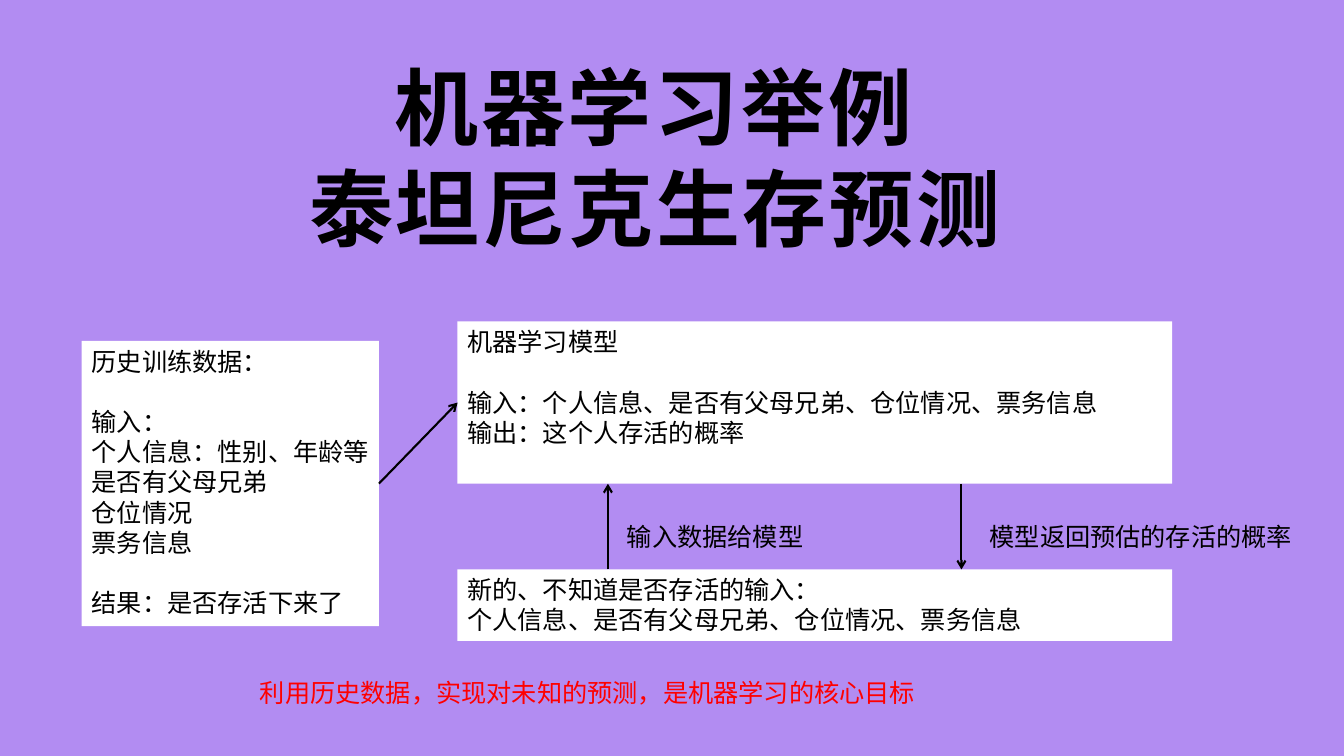
from lxml import etree
from pptx import Presentation
from pptx.dml.color import RGBColor
from pptx.enum.shapes import MSO_CONNECTOR, MSO_SHAPE
from pptx.enum.text import MSO_ANCHOR as Anchor, PP_ALIGN as Align
from pptx.oxml.ns import qn
from pptx.util import Cm, Pt

PURPLE = RGBColor(0xB2, 0x8C, 0xF2)
WHITE = RGBColor(0xFF, 0xFF, 0xFF)
BLACK = RGBColor(0x00, 0x00, 0x00)
RED = RGBColor(0xFF, 0x00, 0x00)

BODY = {"name": "Arial", "size": Pt(18)}
HEADING = {"name": "Arial", "size": Pt(60), "bold": True}
BLANK_LINE = Pt(21.6)

TITLE = (1.3, 1.5, 30.33, 4.88)
HISTORY = (2.06, 8.59, 7.49, 7.19)
MODEL = (11.53, 8.1, 18.01, 4.09)
NEW_INPUT = (11.53, 14.35, 18.01, 1.8)
CONCLUSION = (6.3, 16.94, 17.02, 1.02)


def write(shape, paragraphs, style, color=BLACK, align=Align.LEFT, gaps=(), wrap=True):
    """Fill a shape with paragraphs, leaving a line free before those in gaps."""
    frame = shape.text_frame
    frame.word_wrap = wrap
    for index, text in enumerate(paragraphs):
        paragraph = frame.add_paragraph() if index else frame.paragraphs[0]
        paragraph.text = text
        paragraph.alignment = align
        if index in gaps:
            paragraph.space_before = BLANK_LINE
        for run in paragraph.runs:
            for attribute, value in style.items():
                setattr(run.font, attribute, value)
            run.font.color.rgb = color


def add_title(slide, box):
    """Place the centred two-line heading."""
    shape = slide.shapes.add_textbox(*map(Cm, box))
    write(shape, ["机器学习举例\n泰坦尼克生存预测"], HEADING, align=Align.CENTER)
    margins = {"margin_left": Cm(0.28), "margin_right": Cm(0.2),
               "margin_top": Cm(0.1), "margin_bottom": Cm(0.1),
               "vertical_anchor": Anchor.MIDDLE}
    for attribute, value in margins.items():
        setattr(shape.text_frame, attribute, value)
    for run in shape.text_frame.paragraphs[0].runs:
        run.font._element.set("spc", "200")


def add_panel(slide, box, paragraphs, gaps=(), wrap=True):
    """Place a white panel with text from its top left corner."""
    shape = slide.shapes.add_shape(MSO_SHAPE.RECTANGLE, *map(Cm, box))
    shape.shadow.inherit = False
    shape.fill.solid()
    shape.fill.fore_color.rgb = WHITE
    shape.line.fill.background()
    shape.text_frame.vertical_anchor = Anchor.TOP
    write(shape, paragraphs, BODY, gaps=gaps, wrap=wrap)


def add_label(slide, box, text, color=BLACK):
    """Place a single line of text."""
    shape = slide.shapes.add_textbox(*map(Cm, box))
    write(shape, [text], BODY, color, wrap=False)


def add_arrow(slide, start, end):
    """Draw a straight black arrow from start to end."""
    arrow = slide.shapes.add_connector(MSO_CONNECTOR.STRAIGHT, *map(Cm, start + end))
    arrow.line.color.rgb = BLACK
    arrow.line.width = Pt(1.5)
    etree.SubElement(arrow.line._get_or_add_ln(), qn("a:tailEnd"), type="arrow")
    etree.SubElement(arrow._element.spPr, qn("a:effectLst"))


def add_flow(slide, history, model, new_input):
    """Join the three panels with arrows and label the exchange with the model."""
    left, top, width, height = history
    model_left, model_top, model_width, model_height = model
    model_bottom = model_top + model_height
    input_top = new_input[1]
    up, down = model_left + 3.79, model_left + 12.7
    label_top = model_bottom + 0.81
    add_arrow(slide, (left + width, top + height / 2),
              (model_left, model_top + model_height / 2))
    add_arrow(slide, (up, input_top), (up, model_bottom))
    add_arrow(slide, (down, model_bottom), (down, input_top))
    add_label(slide, (up + 0.23, label_top, 4.95, 1.02), "输入数据给模型")
    add_label(slide, (down + 0.46, label_top, 8.13, 1.02), "模型返回预估的存活的概率")


def build_slide(presentation):
    """Add the slide with its heading, panels, flow and conclusion."""
    slide = presentation.slides.add_slide(presentation.slide_layouts[6])
    slide.background.fill.solid()
    slide.background.fill.fore_color.rgb = PURPLE
    add_title(slide, TITLE)
    add_panel(slide, HISTORY, [
        "历史训练数据：", "输入：", "个人信息：性别、年龄等", "是否有父母兄弟",
        "仓位情况", "票务信息", "结果：是否存活下来了"], gaps=(1, 6), wrap=False)
    add_panel(slide, MODEL, [
        "机器学习模型", "输入：个人信息、是否有父母兄弟、仓位情况、票务信息",
        "输出：这个人存活的概率"], gaps=(1,))
    add_panel(slide, NEW_INPUT, [
        "新的、不知道是否存活的输入：\n个人信息、是否有父母兄弟、仓位情况、票务信息"])
    add_flow(slide, HISTORY, MODEL, NEW_INPUT)
    add_label(slide, CONCLUSION, "利用历史数据，实现对未知的预测，是机器学习的核心目标", RED)


def main():
    """Build and save the presentation."""
    presentation = Presentation()
    presentation.slide_width = Cm(33.87)
    presentation.slide_height = Cm(19.05)
    build_slide(presentation)
    presentation.save("out.pptx")


if __name__ == "__main__":
    main()
